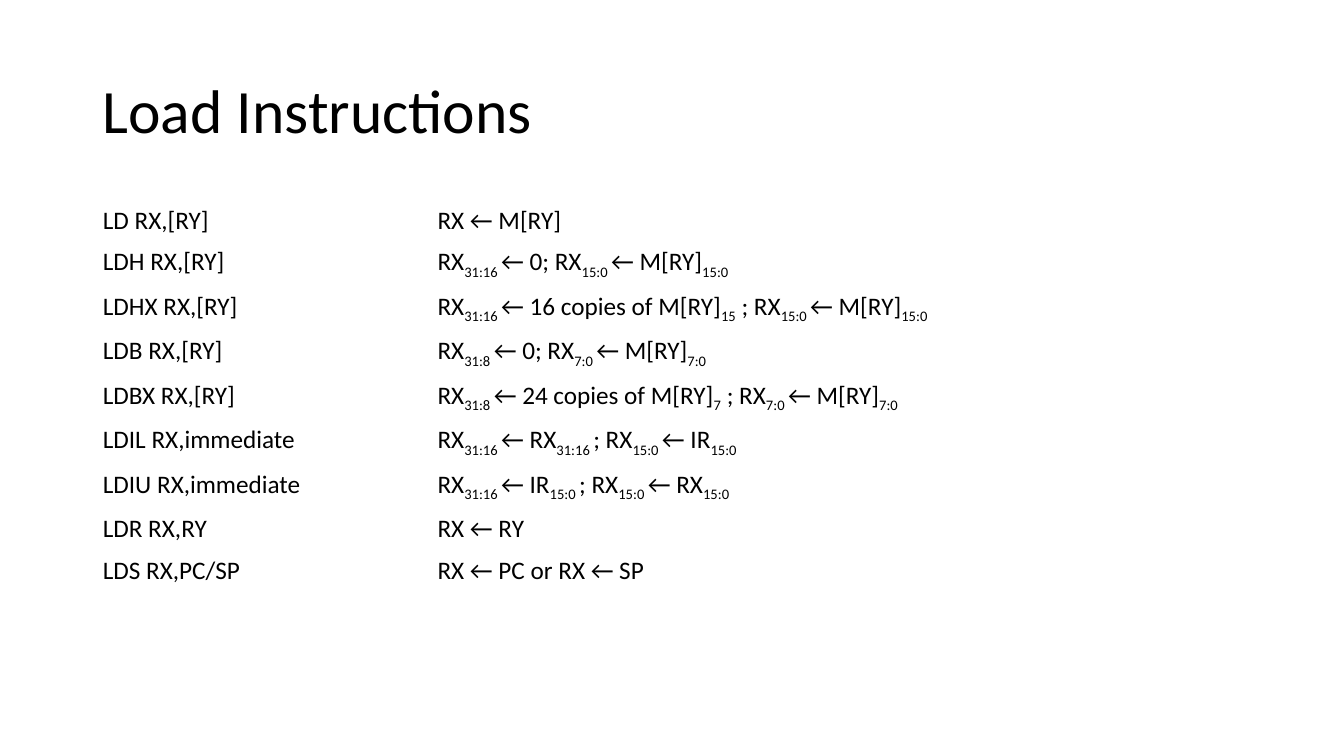
from pptx import Presentation
from pptx.dml.color import RGBColor
from pptx.enum.text import MSO_ANCHOR
from pptx.oxml import parse_xml
from pptx.oxml.ns import nsdecls
from pptx.util import Inches, Pt

COLORS = {"text": "000000", "border": "FFFFFF"}
FONT = "Calibri"
COLUMN_WIDTHS = [1.66, 1.66, 4.09, 4.09]
ROW_HEIGHT = 0.41
UNMERGED = "LDR RX,RY"

# In each effect, every second piece between bars is a subscript.
INSTRUCTIONS = [
    ("LD RX,[RY]", "RX ← M[RY]"),
    ("LDH RX,[RY]", "RX|31:16 |← 0; RX|15:0 |← M[RY]|15:0"),
    ("LDHX RX,[RY]", "RX|31:16 |← 16 copies of M[RY]|15| ; RX|15:0 |← M[RY]|15:0"),
    ("LDB RX,[RY]", "RX|31:8 |← 0; RX|7:0 |← M[RY]|7:0"),
    ("LDBX RX,[RY]", "RX|31:8 |← 24 copies of M[RY]|7| ; RX|7:0 |← M[RY]|7:0"),
    ("LDIL RX,immediate", "RX|31:16 |← RX|31:16 |; RX|15:0 |← IR|15:0"),
    ("LDIU RX,immediate", "RX|31:16 |← IR|15:0 |; RX|15:0 |← RX|15:0"),
    ("LDR RX,RY", "RX ← RY"),
    ("LDS RX,PC/SP", "RX ← PC or RX ← SP"),
]


def write(para, text, size):
    """Add text to para, lowering every second piece between bars."""
    for index, piece in enumerate(text.split("|")):
        span = para.add_run()
        span.text = piece
        for name, value in {"name": FONT, "size": Pt(size)}.items():
            setattr(span.font, name, value)
        span.font.color.rgb = RGBColor.from_string(COLORS["text"])
        if index % 2:
            span._r.get_or_add_rPr().set("baseline", "-25000")


deck = Presentation()
deck.slide_width, deck.slide_height = Inches(13.33), Inches(7.5)
page = deck.slides.add_slide(deck.slide_layouts[6])

title = page.shapes.add_textbox(Inches(0.92), Inches(0.4), Inches(11.5), Inches(1.45))
for name, value in {"word_wrap": True, "vertical_anchor": MSO_ANCHOR.MIDDLE}.items():
    setattr(title.text_frame, name, value)
title_para = title.text_frame.paragraphs[0]
title_para.line_spacing = 0.9
write(title_para, "Load Instructions", 44)

table = page.shapes.add_table(
    len(INSTRUCTIONS), len(COLUMN_WIDTHS), Inches(0.92), Inches(1.99),
    Inches(sum(COLUMN_WIDTHS)), Inches(ROW_HEIGHT * len(INSTRUCTIONS)),
).table
table.first_row = table.horz_banding = False
for column, width in zip(table.columns, COLUMN_WIDTHS):
    column.width = Inches(width)

for row, (instruction, effect) in enumerate(INSTRUCTIONS):
    table.rows[row].height = Inches(ROW_HEIGHT)
    for column, text in ((0, instruction), (2, effect)):
        cell = table.cell(row, column)
        if instruction != UNMERGED:
            cell.merge(table.cell(row, column + 1))
        write(cell.text_frame.paragraphs[0], text, 18)

for cell in table.iter_cells():
    cell.fill.background()
    properties = cell._tc.get_or_add_tcPr()
    for position, side in enumerate(("lnL", "lnR", "lnT", "lnB")):
        properties.insert(position, parse_xml(
            f'<a:{side} {nsdecls("a")} w="12700"><a:solidFill>'
            f'<a:srgbClr val="{COLORS["border"]}"/></a:solidFill></a:{side}>'
        ))

deck.save("out.pptx")
